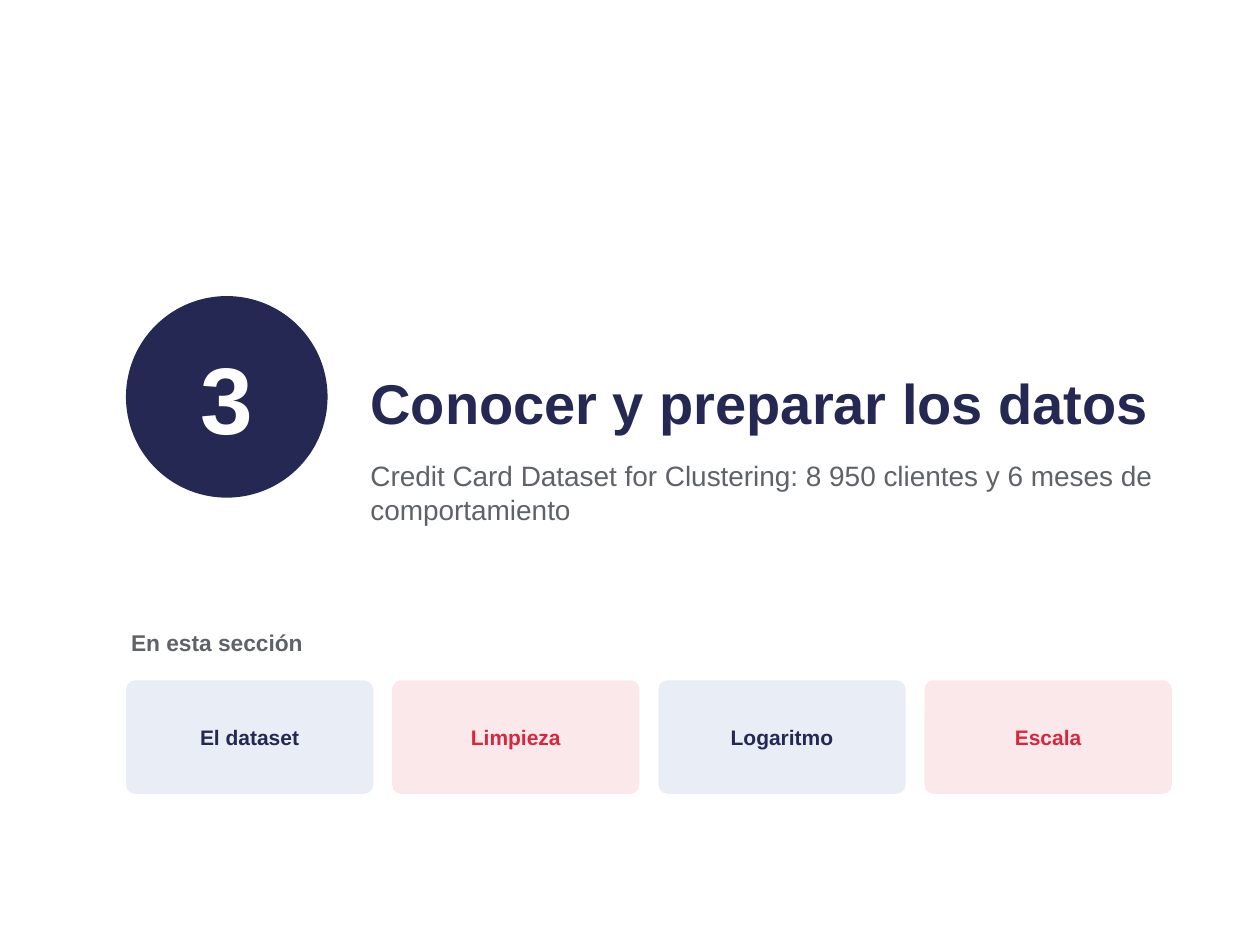
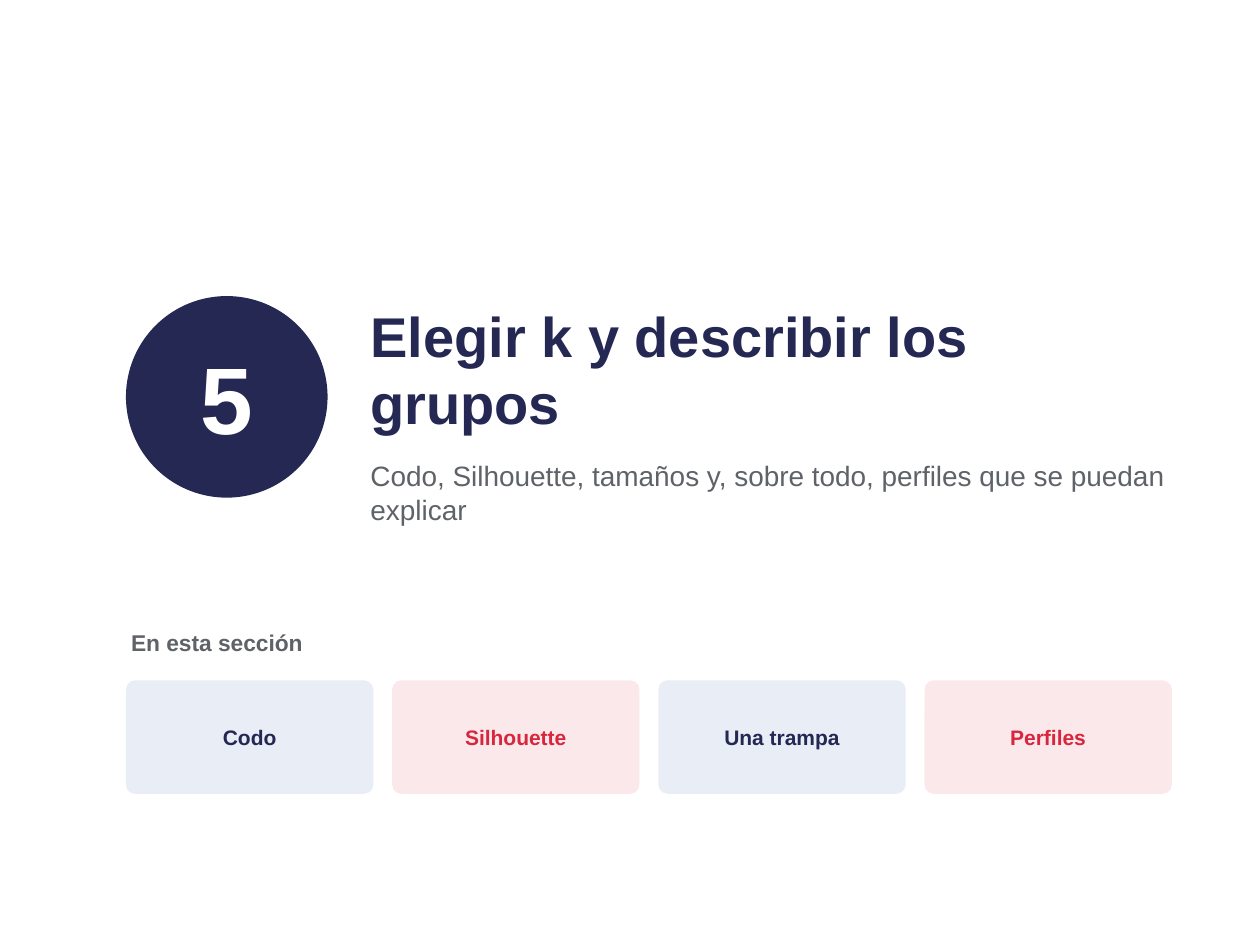
"""Build the section divider slides of a clustering course."""
from pptx import Presentation
from pptx.dml.color import RGBColor
from pptx.enum.shapes import MSO_SHAPE
from pptx.enum.text import MSO_ANCHOR, MSO_AUTO_SIZE, PP_ALIGN
from pptx.util import Pt

ROUNDED, OVAL = MSO_SHAPE.ROUNDED_RECTANGLE, MSO_SHAPE.OVAL
TOP, MIDDLE, BOTTOM = MSO_ANCHOR.TOP, MSO_ANCHOR.MIDDLE, MSO_ANCHOR.BOTTOM
LEFT, CENTER = PP_ALIGN.LEFT, PP_ALIGN.CENTER
GROW = MSO_AUTO_SIZE.SHAPE_TO_FIT_TEXT

FONT = "Arial"
COLORS = {
    "navy": "242852",
    "red": "D7263D",
    "gray": "5F6368",
    "white": "FFFFFF",
    "pale_blue": "E8EDF6",
    "pale_red": "FBE8EA",
}
CARD_STYLES = [("pale_blue", "navy"), ("pale_red", "red")]

MARGIN = 72
CONTENT_WIDTH = 597.6
HEADING_LEFT = 208.8
HEADING_WIDTH = MARGIN + CONTENT_WIDTH - HEADING_LEFT
CARD_GAP = 10.8

SECTIONS = [
    (
        "3",
        "Conocer y preparar los datos",
        "Credit Card Dataset for Clustering: 8 950 clientes y 6 meses de comportamiento",
        ["El dataset", "Limpieza", "Logaritmo", "Escala"],
    ),
    (
        "5",
        "Elegir k y describir los grupos",
        "Codo, Silhouette, tamaños y, sobre todo, perfiles que se puedan explicar",
        ["Codo", "Silhouette", "Una trampa", "Perfiles"],
    ),
]


def write_text(shape, text, size, color, bold, align, anchor, inset, space_after):
    """Write one styled paragraph into a shape."""
    frame = shape.text_frame
    frame.word_wrap = True
    frame.vertical_anchor = anchor
    frame.margin_left = frame.margin_right = Pt(inset)
    frame.margin_top = frame.margin_bottom = Pt(inset)
    paragraph = frame.paragraphs[0]
    paragraph.alignment = align
    paragraph.space_after = Pt(space_after)
    run = paragraph.add_run()
    run.text = text
    run.font.name = FONT
    run.font.size = Pt(size)
    run.font.bold = bold
    run.font.color.rgb = RGBColor.from_string(COLORS[color])


def add_label(slide, box, text, size, color, bold=True, anchor=TOP):
    """Add a left-aligned text box that grows with its text."""
    label = slide.shapes.add_textbox(*map(Pt, box))
    write_text(label, text, size, color, bold, LEFT, anchor, 2.88, 4)
    label.text_frame.auto_size = GROW


def add_filled_shape(slide, kind, box, fill, text, size, color):
    """Add a flat shape with centred bold text."""
    shape = slide.shapes.add_shape(kind, *map(Pt, box))
    shape.shadow.inherit = False
    shape.fill.solid()
    shape.fill.fore_color.rgb = RGBColor.from_string(COLORS[fill])
    shape.line.fill.background()
    write_text(shape, text, size, color, True, CENTER, MIDDLE, 5.76, 3)
    return shape


def add_topic_cards(slide, topics):
    """Spread the topic cards evenly over the content width."""
    width = (CONTENT_WIDTH - CARD_GAP * (len(topics) - 1)) / len(topics)
    for index, topic in enumerate(topics):
        fill, color = CARD_STYLES[index % len(CARD_STYLES)]
        box = (MARGIN + index * (width + CARD_GAP), 388.8, width, 64.8)
        card = add_filled_shape(slide, ROUNDED, box, fill, topic, 12, color)
        card.adjustments[0] = 0.08


def add_section_slide(presentation, number, title, subtitle, topics):
    """Add one section divider."""
    slide = presentation.slides.add_slide(presentation.slide_layouts[6])
    add_label(slide, (MARGIN, 356.4, CONTENT_WIDTH, 28.8), "En esta sección", 13, "gray")
    add_topic_cards(slide, topics)
    number_box = (MARGIN, 169.2, 115.2, 115.2)
    add_filled_shape(slide, OVAL, number_box, "navy", number, 54, "white")
    title_box = (HEADING_LEFT, 144, HEADING_WIDTH, 108)
    add_label(slide, title_box, title, 32, "navy", anchor=BOTTOM)
    subtitle_box = (HEADING_LEFT, 259.2, HEADING_WIDTH, 86.4)
    add_label(slide, subtitle_box, subtitle, 16, "gray", bold=False)


def main():
    """Build and save the presentation."""
    presentation = Presentation()
    presentation.slide_width = Pt(720)
    presentation.slide_height = Pt(540)
    for section in SECTIONS:
        add_section_slide(presentation, *section)
    presentation.save("out.pptx")


if __name__ == "__main__":
    main()
